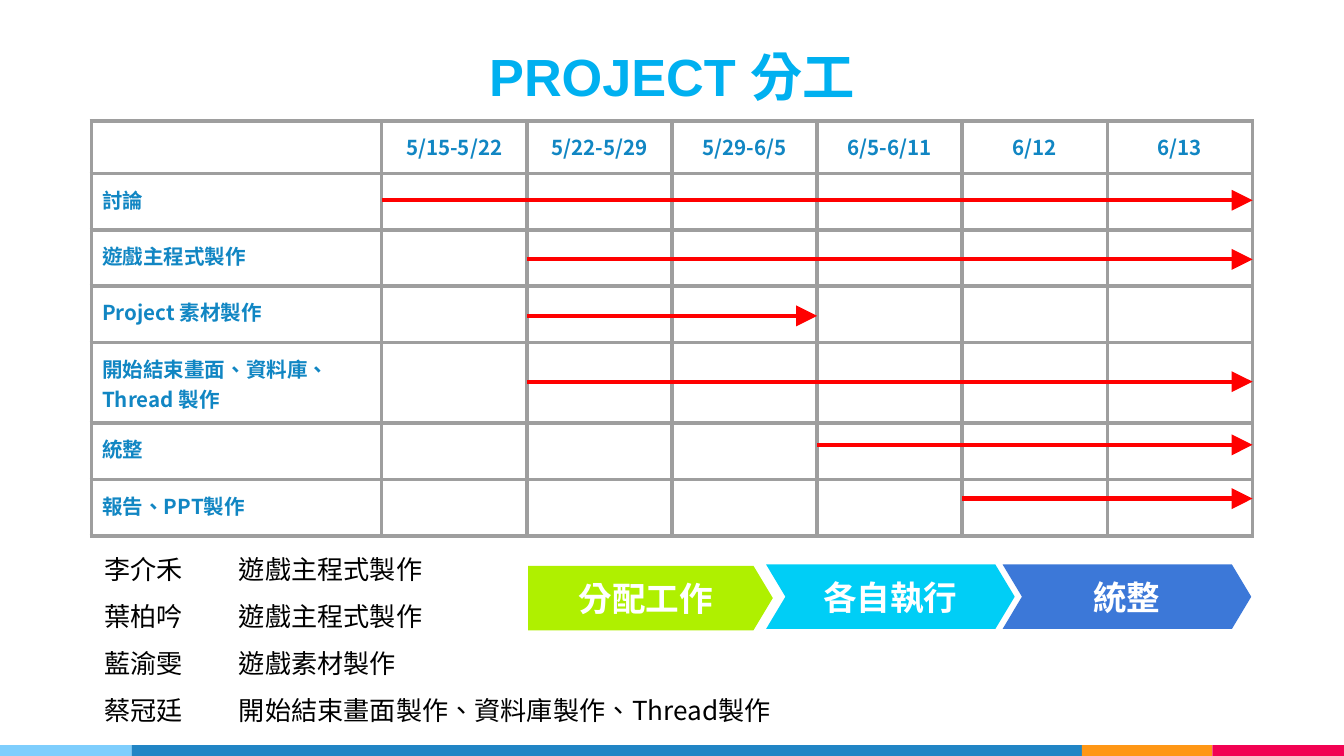
from lxml.etree import SubElement as Sub
from pptx import Presentation
from pptx.dml.color import RGBColor as RGB
from pptx.enum.shapes import MSO_CONNECTOR as LINK, MSO_SHAPE as FORM
from pptx.enum.text import MSO_ANCHOR as ANCHOR, PP_ALIGN as ALIGN
from pptx.oxml.ns import qn
from pptx.util import Inches as In, Pt

WIDE = 10
HIGH = WIDE * 9 / 16
HUES = {
    "sky": "7ECEFD", "blue": "2185C5", "gold": "FF9715", "pink": "F20253",
    "title": "00B0F0", "cell": "1186C3", "grid": "9E9E9E", "arrow": "FF0000",
    "lime": "AFF000", "cyan": "00CEF6", "royal": "3C78D8",
    "black": "000000", "white": "FFFFFF",
}
SANS, HAN = "Noto Sans CJK SC", "Noto Sans CJK TC"

TITLE = "PROJECT 分工"
DATES = ["5/15-5/22", "5/22-5/29", "5/29-6/5", "6/5-6/11", "6/12", "6/13"]
TASKS = [
    ("討論", 0, 6, 1.49),
    ("遊戲主程式製作", 1, 6, 1.93),
    ("Project 素材製作", 1, 3, 2.35),
    ("開始結束畫面、資料庫、Thread 製作", 1, 6, 2.84),
    ("統整", 3, 6, 3.31),
    ("報告、PPT製作", 4, 6, 3.71),
]
TEAM = [
    ("李介禾 ", "遊戲主程式製作"),
    ("葉柏吟", "遊戲主程式製作"),
    ("藍渝雯", "遊戲素材製作"),
    ("蔡冠廷", "開始結束畫面製作、資料庫製作、Thread製作"),
]
STEPS = [
    ("分配工作", "lime", FORM.PENTAGON, 3.93, 4.21, 1.82),
    ("各自執行", "cyan", FORM.CHEVRON, 5.7, 4.2, 1.85),
    ("統整", "royal", FORM.CHEVRON, 7.46, 4.2, 1.85),
]
BANDS = [("sky", 0.98), ("blue", 7.07), ("gold", 0.97), ("pink", 0.98)]

LEFT, TOP, COL = 0.68, 0.9, 1.08
ROWS = [0.39, 0.42, 0.42, 0.42, 0.6, 0.42, 0.42]

deck = Presentation()
deck.slide_width, deck.slide_height = In(WIDE), In(HIGH)
slide = deck.slides.add_slide(deck.slide_layouts[6])
shapes = slide.shapes


def tint(name):
    return RGB.from_string(HUES[name])


def write(para, text, size, face, hue, bold=True, east=None):
    run = para.add_run()
    run.text = text
    font = run.font
    font.size, font.name, font.bold = Pt(size), face, bold
    font.color.rgb = tint(hue)
    font._element.set("lang", "zh-TW")
    Sub(font._element, qn("a:ea"), typeface=east or face)


def block(form, x, y, w, h, hue):
    shape = shapes.add_shape(form, In(x), In(y), In(w), In(h))
    shape.shadow.inherit = False
    shape.fill.solid()
    shape.fill.fore_color.rgb = tint(hue)
    shape.line.fill.background()
    return shape


def pad(frame, size):
    frame.margin_left = frame.margin_right = In(size)
    frame.margin_top = frame.margin_bottom = In(size)


def box(x, y, w, h):
    frame = shapes.add_textbox(In(x), In(y), In(w), In(h)).text_frame
    frame.word_wrap = True
    return frame


def frame_cell(cell):
    pad(cell, 0.08)
    props = cell._tc.get_or_add_tcPr()
    for side in ("lnL", "lnR", "lnT", "lnB"):
        line = Sub(props, qn("a:" + side), w=str(Pt(2.25)))
        fill = Sub(line, qn("a:solidFill"))
        Sub(fill, qn("a:srgbClr"), val=HUES["grid"])
    cell.fill.background()


def add_plan():
    rows = [["", *DATES]] + [[task[0]] + [""] * len(DATES) for task in TASKS]
    count = len(DATES) + 2
    table = shapes.add_table(
        len(rows), len(rows[0]), In(LEFT), In(TOP),
        In(COL * count), In(sum(ROWS))).table
    for c, col in enumerate(table.columns):
        col.width = In(COL if c else 2 * COL)
    for r, texts in enumerate(rows):
        table.rows[r].height = In(ROWS[r])
        for c, text in enumerate(texts):
            cell = table.cell(r, c)
            frame_cell(cell)
            para = cell.text_frame.paragraphs[0]
            if text:
                para.alignment = ALIGN.LEFT if r else ALIGN.CENTER
                write(para, text, 11, HAN, "cell")
            else:
                Sub(para._p, qn("a:endParaRPr"), sz="1100")


def add_arrow(start, end, y):
    x1, x2 = (In(LEFT + COL * (2 + n)) for n in (start, end))
    link = shapes.add_connector(LINK.STRAIGHT, x1, In(y), x2, In(y))
    link.line.width = Pt(2.25)
    link.line.color.rgb = tint("arrow")
    Sub(link.line._get_or_add_ln(), qn("a:tailEnd"),
        type="triangle", w="lg", len="lg")
    Sub(link._element.spPr, qn("a:effectLst"))


x = 0
for hue, w in BANDS:
    block(FORM.RECTANGLE, x, HIGH - 0.08, w, 0.08, hue)
    x += w

frame = box(LEFT, 3.95, 5.56, 1.75)
for i, (name, job) in enumerate(TEAM):
    para = frame.add_paragraph() if i else frame.paragraphs[0]
    para.line_spacing = 1.5
    write(para, f"{name}\t{job}", 14, SANS, "black", False)

frame = box(0, 0.27, WIDE, 0.63)
pad(frame, 0.1)
frame.vertical_anchor = ANCHOR.BOTTOM
frame.paragraphs[0].alignment = ALIGN.CENTER
write(frame.paragraphs[0], TITLE, 28, "Arial", "title", east=HAN)

add_plan()
for task, start, end, y in TASKS:
    add_arrow(start, end, y)

for text, hue, form, x, y, w in STEPS:
    shape = block(form, x, y, w, 0.48, hue)
    shape.adjustments[0] = 0.3
    frame = shape.text_frame
    pad(frame, 0.1)
    frame.vertical_anchor = ANCHOR.MIDDLE
    frame.paragraphs[0].alignment = ALIGN.CENTER
    write(frame.paragraphs[0], text, 18, SANS, "white")

deck.save("out.pptx")
